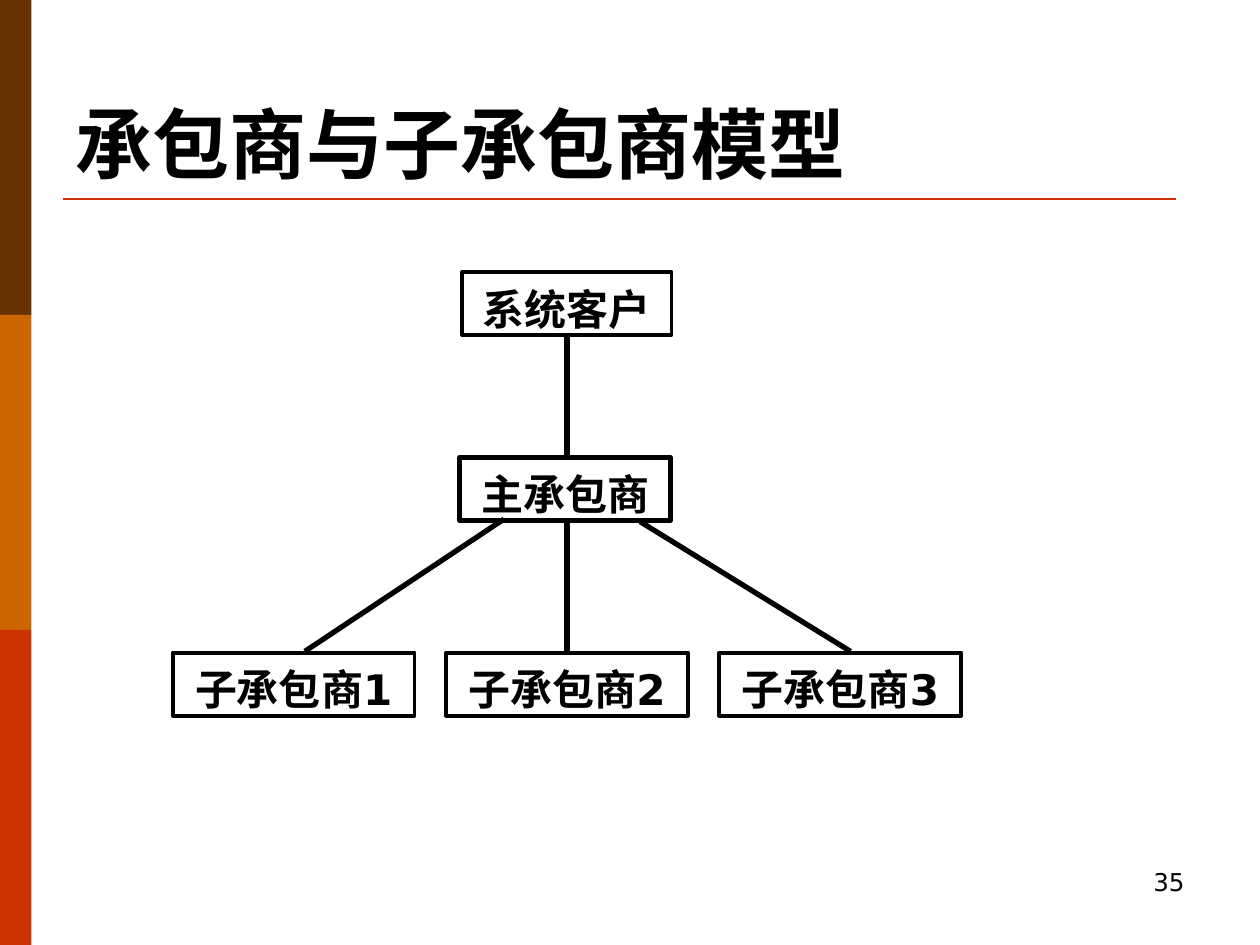
from lxml import etree
from pptx import Presentation
from pptx import util as u
from pptx.dml.color import RGBColor
from pptx.enum import shapes, text
from pptx.oxml.ns import qn

COLORS = {
    "brown": "663300",
    "orange": "CC6600",
    "red": "CC3300",
    "black": "000000",
    "white": "FFFFFF",
}
TITLE_FONT = {"name": "Times New Roman", "size": u.Pt(44), "bold": True}
BOX_FONT = {"name": "DejaVu Sans", "size": u.Pt(24), "bold": True}
NUMBER_FONT = {"name": "DejaVu Sans", "size": u.Pt(14), "bold": False}

BOX_HEIGHT = 0.5
SUB_WIDTH = 1.92
SUB_LEFT, SUB_TOP, SUB_STEP = 1.37, 5.18, 2.17


def color(name):
    return RGBColor.from_string(COLORS[name])


def set_attributes(target, values):
    for name, value in values.items():
        setattr(target, name, value)


def write_text(shape, content, font, alignment, **frame_format):
    frame = shape.text_frame
    set_attributes(frame, frame_format)
    frame.text = content
    paragraph = frame.paragraphs[0]
    paragraph.alignment = alignment
    run_font = paragraph.runs[0].font
    set_attributes(run_font, font)
    run_font.color.rgb = color("black")
    return paragraph


def add_rectangle(slide, left, top, width, height, fill):
    shape = slide.shapes.add_shape(
        shapes.MSO_SHAPE.RECTANGLE,
        *map(u.Inches, (left, top, width, height)))
    shape.shadow.inherit = False
    shape.fill.solid()
    shape.fill.fore_color.rgb = color(fill)
    shape.line.fill.background()
    return shape


def add_box(slide, label, left, top, width, line_width=2.25):
    box = add_rectangle(slide, left, top, width, BOX_HEIGHT, "white")
    box.line.color.rgb = color("black")
    box.line.width = u.Pt(line_width)
    paragraph = write_text(
        box, label, BOX_FONT, text.PP_ALIGN.CENTER,
        word_wrap=False, vertical_anchor=text.MSO_ANCHOR.MIDDLE,
        margin_bottom=u.Inches(0.09))
    paragraph.line_spacing = 1.3
    return box


def add_line(slide, start, end, line_color="black", width=3):
    line = slide.shapes.add_connector(
        shapes.MSO_CONNECTOR.STRAIGHT, *map(u.Inches, (*start, *end)))
    line.line.color.rgb = color(line_color)
    line.line.width = u.Pt(width)
    etree.SubElement(line._element.spPr, qn("a:effectLst"))
    return line


def add_side_bands(slide):
    for index, band in enumerate(("brown", "orange", "red")):
        add_rectangle(slide, 0, 2.5 * index, 0.25, 2.5, band)


def add_title(slide, content):
    title = slide.shapes.title
    set_attributes(title, {
        "left": u.Inches(0.5), "top": u.Inches(0.3),
        "width": u.Inches(9), "height": u.Inches(1.25)})
    write_text(title, content, TITLE_FONT, text.PP_ALIGN.LEFT,
               vertical_anchor=text.MSO_ANCHOR.BOTTOM,
               auto_size=text.MSO_AUTO_SIZE.NONE)
    add_line(slide, (0.5, 1.58), (9.33, 1.58), "red", 1.5)


def add_contractor_tree(slide):
    customer = add_box(slide, "系统客户", 3.67, 2.16, 1.66)
    subcontractors = [
        add_box(slide, f"子承包商{index + 1}",
                SUB_LEFT + SUB_STEP * index, SUB_TOP, SUB_WIDTH)
        for index in range(3)]

    # The trunk runs behind the main contractor's box.
    trunk = add_line(slide, (4.5, 2.66), (4.5, SUB_TOP))
    trunk.begin_connect(customer, 2)
    trunk.end_connect(subcontractors[1], 0)
    add_box(slide, "主承包商", 3.65, 3.63, 1.67, line_width=3)

    add_line(slide, (4, 4.12), (2.42, 5.17))
    add_line(slide, (5.08, 4.14), (6.75, 5.17))


def add_slide_number(slide, number):
    box = slide.shapes.add_textbox(
        *map(u.Inches, (7.17, 6.83, 2.33, 0.5)))
    write_text(box, number, NUMBER_FONT, text.PP_ALIGN.RIGHT, word_wrap=True)


def main():
    presentation = Presentation()
    presentation.slide_width = u.Inches(10)
    presentation.slide_height = u.Inches(7.5)
    slide = presentation.slides.add_slide(presentation.slide_layouts[5])
    add_side_bands(slide)
    add_title(slide, "承包商与子承包商模型")
    add_contractor_tree(slide)
    add_slide_number(slide, "35")
    presentation.save("out.pptx")


if __name__ == "__main__":
    main()
